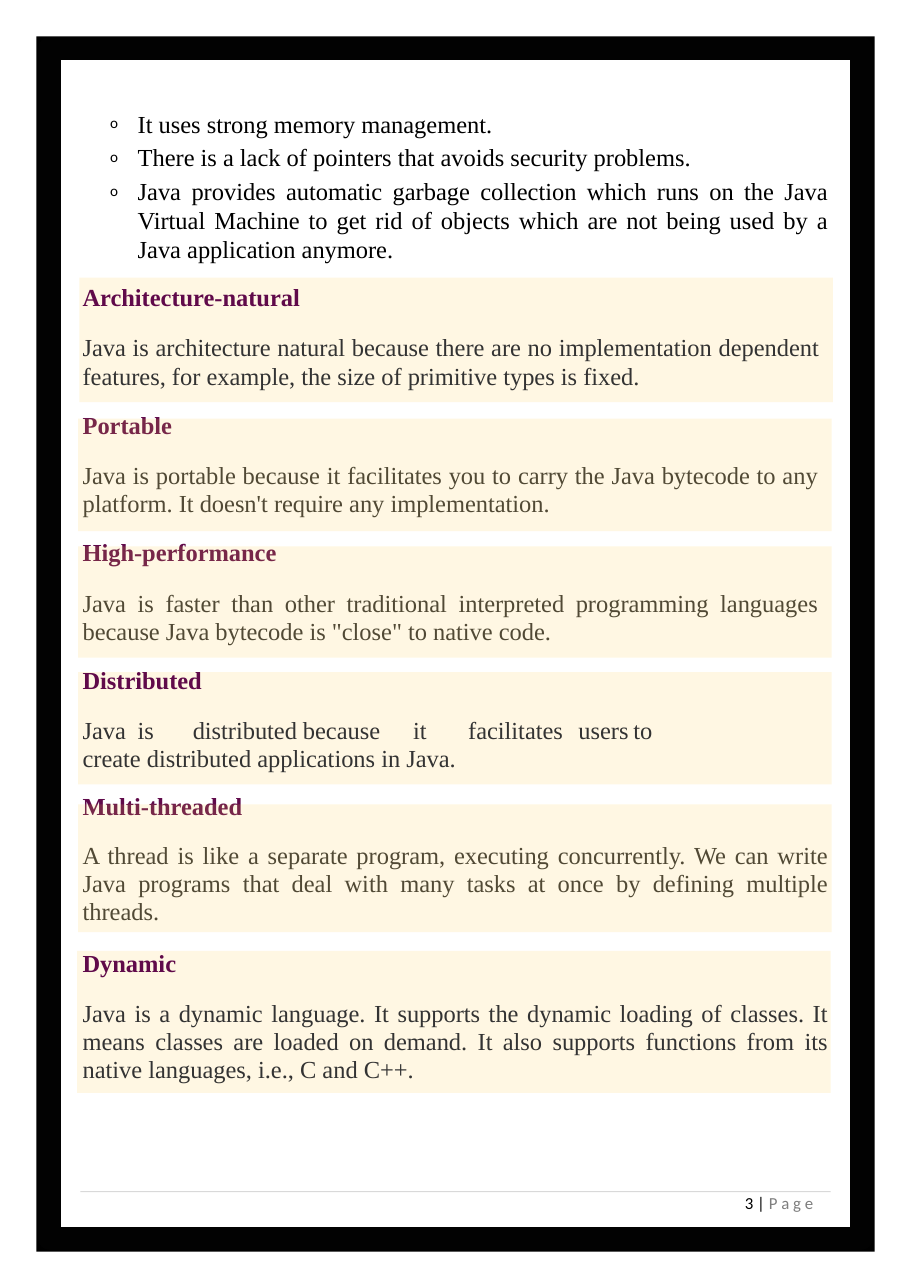
from lxml import etree
from pptx import Presentation, util as u
from pptx.dml.color import RGBColor
from pptx.enum import shapes, text
from pptx.oxml import ns

PX = 9144  # 100 px to the inch
SERIF, SANS = "Times New Roman", "Calibri"
BLACK, PLUM, CHARCOAL, GREY, AMBER = "000000", "600A4A", "333333", "7E7E7E", "FFCD44"

BULLETS = [
    ("It uses strong memory management.", 3.5, None),
    ("There is a lack of pointers that avoids security problems.", 2.5, None),
    ("Java provides automatic garbage collection which runs on the Java Virtual Machine "
     "to get rid of objects which are not being used by a Java application anymore.", 3.6, 18.7),
]
DISTRIBUTED_TABS = [60, 91, 203, 289, 318, 420, 482, 516]

# Each section: box, tinted, top inset, left indent, right indent, tabs, topics.
# Each topic: heading, space before, line spacing; body, space before, line spacing.
SECTIONS = [
    ((72, 252, 684, 113), True, 4, 3, 12, [], [
        ("Architecture-natural", 3.1, None,
         "Java is architecture natural because there are no implementation dependent "
         "features, for example, the size of primitive types is fixed.", 14.5, 18.4)]),
    ((74, 371, 679, 216), False, 1, 1, 10, [], [
        ("Portable", 0.9, None,
         "Java is portable because it facilitates you to carry the Java bytecode to any "
         "platform. It doesn't require any implementation.", 14.6, 18.4),
        ("High-performance", 12.7, None,
         "Java is faster than other traditional interpreted programming languages "
         "because Java bytecode is \"close\" to native code.", 14.5, 18.4)]),
    ((71, 610, 684, 102), True, 0, 4, 110, DISTRIBUTED_TABS, [
        ("Distributed", 0, 14.6,
         "Java\tis\tdistributed\tbecause\tit\tfacilitates\tusers\tto\tcreate "
         "distributed applications in Java.", 14.4, 18.4)]),
    ((74, 717, 679, 126), False, 1, 1, 1, [], [
        ("Multi-threaded", 0.9, None,
         "A thread is like a separate program, executing concurrently. We can write "
         "Java programs that deal with many tasks at once by defining multiple threads.",
         14, 0.96)]),
    ((70, 863, 684, 129), True, 0, 5, 2, [], [
        ("Dynamic", 0, 17.1,
         "Java is a dynamic language. It supports the dynamic loading of classes. It "
         "means classes are loaded on demand. It also supports functions from its "
         "native languages, i.e., C and C++.", 14.4, 18.4)]),
]
VEILS = [(71, 380, 684, 102), (71, 496, 684, 101), (71, 730, 684, 116)]


def colour(value):
    return RGBColor.from_string(value)


def emu(box):
    return [u.Emu(length * PX) for length in box]


def add_block(slide, box, fill=None, alpha=100, kind=shapes.MSO_SHAPE.RECTANGLE):
    shape = slide.shapes.add_shape(kind, *emu(box))
    shape.shadow.inherit = False
    shape.line.fill.background()
    if fill is None:
        shape.fill.background()
        return shape
    shape.fill.solid()
    shape.fill.fore_color.rgb = colour(fill)
    if alpha < 100:
        tint = shape.fill._xPr.find(".//" + ns.qn("a:srgbClr"))
        etree.SubElement(tint, ns.qn("a:alpha"), val=str(alpha * 1000))
    return shape


def prepare_frame(shape, top=0):
    frame = shape.text_frame
    frame.word_wrap = True
    frame.vertical_anchor = text.MSO_ANCHOR.TOP
    frame.margin_left = frame.margin_right = frame.margin_bottom = 0
    frame.margin_top = u.Emu(top * PX)
    return frame


def add_paragraph(frame, before=0, spacing=None, left=0, right=0, hanging=0,
                  tabs=(), bullet=None, align=text.PP_ALIGN.LEFT):
    first = frame.paragraphs[0]
    paragraph = frame.add_paragraph() if first.runs else first
    paragraph.alignment = align
    paragraph.space_before = u.Pt(before)
    if spacing:
        paragraph.line_spacing = u.Pt(spacing) if spacing > 2 else spacing
    properties = paragraph._p.get_or_add_pPr()
    for name, length in (("marL", left), ("marR", right), ("indent", -hanging)):
        properties.set(name, str(length * PX))
    if bullet:
        etree.SubElement(properties, ns.qn("a:buSzPct"), val="62000")
        etree.SubElement(properties, ns.qn("a:buFont"), typeface=SANS)
        etree.SubElement(properties, ns.qn("a:buChar"), char=bullet)
    if tabs:
        tab_list = etree.SubElement(properties, ns.qn("a:tabLst"))
        for position in tabs:
            etree.SubElement(tab_list, ns.qn("a:tab"), pos=str(position * PX), algn="l")
    return paragraph


def add_run(paragraph, wording, tone, size=16, font=SERIF, bold=False):
    run = paragraph.add_run()
    run.text = wording
    run.font.name, run.font.size, run.font.bold = font, u.Pt(size), bold
    run.font.color.rgb = colour(tone)


def add_bullets(slide, box):
    frame = prepare_frame(slide.shapes.add_textbox(*emu(box)), top=5)
    for wording, before, spacing in BULLETS:
        paragraph = add_paragraph(frame, before, spacing, left=26, right=2, hanging=25,
                                  tabs=[26], bullet="o", align=text.PP_ALIGN.JUSTIFY)
        add_run(paragraph, wording, BLACK)


def add_section(slide, box, tinted, top, left, right, tabs, topics):
    shape = add_block(slide, box, AMBER, 15) if tinted else slide.shapes.add_textbox(*emu(box))
    frame = prepare_frame(shape, top)
    body_align = text.PP_ALIGN.LEFT if tabs else text.PP_ALIGN.JUSTIFY
    for heading, heading_before, heading_spacing, body, body_before, body_spacing in topics:
        paragraph = add_paragraph(frame, heading_before, heading_spacing, left)
        add_run(paragraph, heading, PLUM, bold=True)
        paragraph = add_paragraph(frame, body_before, body_spacing, left, right,
                                  tabs=tabs, align=body_align)
        add_run(paragraph, body, CHARCOAL)


def add_page_border(slide, box):
    left, top, width, height = box
    # Thin outer rim
    rim = add_block(slide, box, BLACK, kind=shapes.MSO_SHAPE.FRAME)
    rim.adjustments[0] = 5 / width
    # Heavy inner line
    inset = 12
    border = add_block(slide, (left + inset, top + inset - 1,
                               width - 2 * inset, height - 2 * inset + 1))
    border.line.color.rgb = colour("020202")
    border.line.width = u.Pt(15)


def add_footer(slide, box):
    left, top, width, height = box
    add_block(slide, (left, top, width, 1), "D9D9D9")
    label = (left + width - 82, top + 4, 78, height - 4)
    frame = prepare_frame(slide.shapes.add_textbox(*emu(label)))
    paragraph = add_paragraph(frame, spacing=11.5, left=4)
    add_run(paragraph, "3 | ", BLACK, 11, SANS)
    add_run(paragraph, "P a g e", GREY, 11, SANS)


def main():
    presentation = Presentation()
    presentation.slide_width, presentation.slide_height = emu((826, 1169))
    slide = presentation.slides.add_slide(presentation.slide_layouts[6])
    add_bullets(slide, (99, 94, 655, 145))
    for section in SECTIONS:
        add_section(slide, *section)
    add_page_border(slide, (33, 33, 761, 1103))
    # Translucent bands over the untinted sections
    for box in VEILS:
        add_block(slide, box, AMBER, 15)
    add_footer(slide, (73, 1081, 681, 22))
    presentation.save("out.pptx")


if __name__ == "__main__":
    main()
